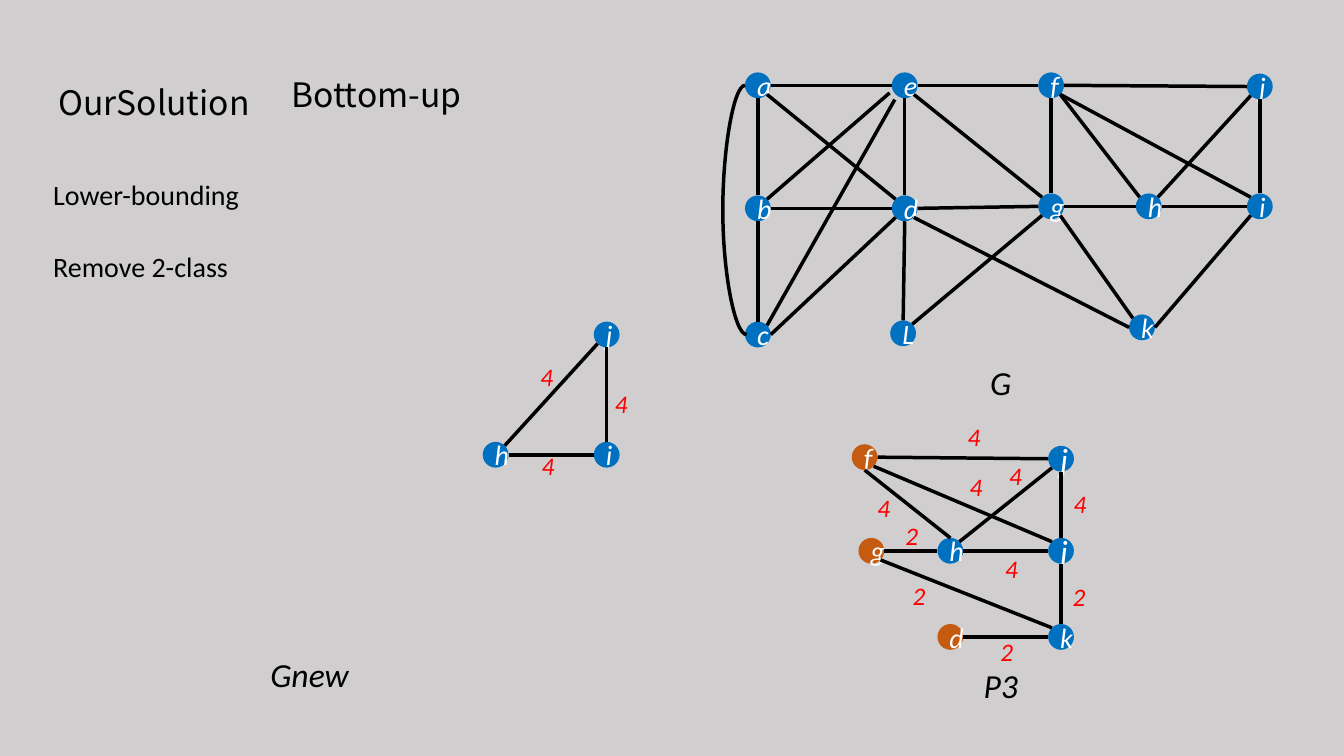
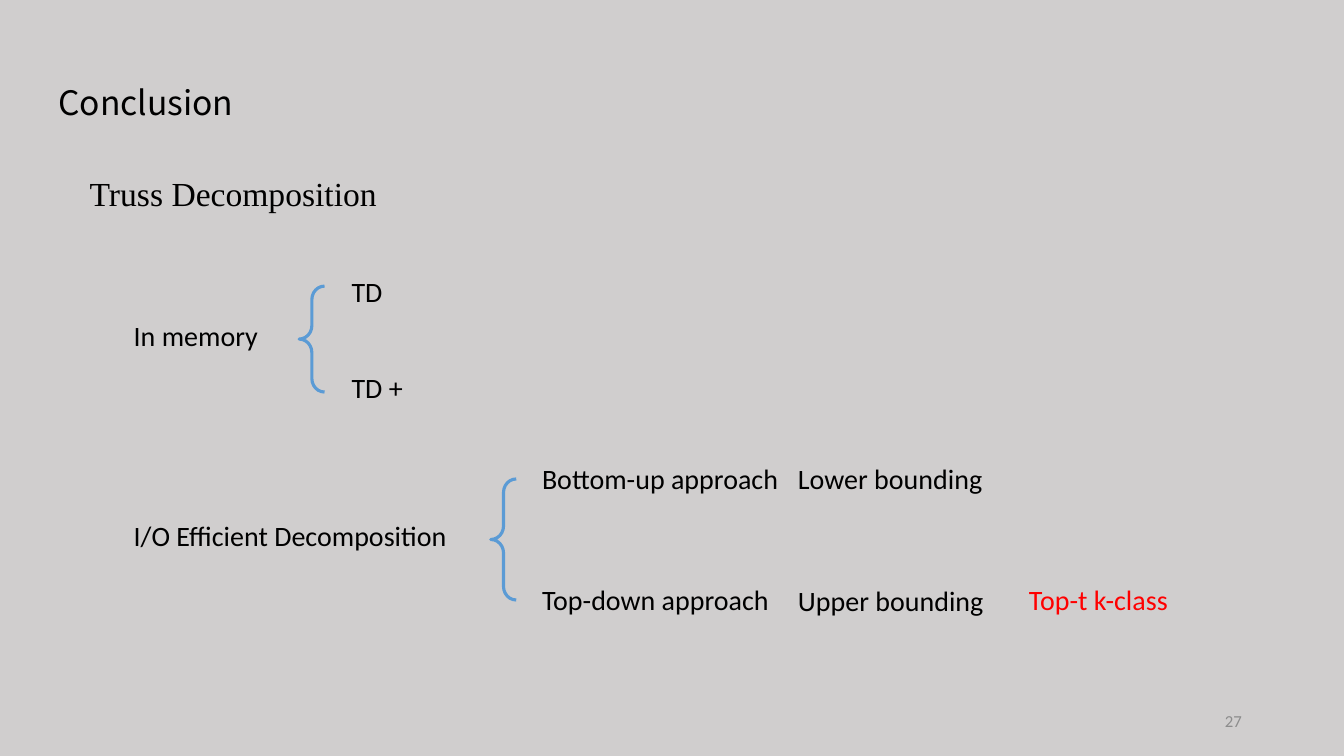
from dataclasses import dataclass
from math import atan2, cos, pi, sin
from typing import NamedTuple, Optional

from lxml.etree import SubElement
from pptx import Presentation
from pptx.dml.color import RGBColor
from pptx.enum.shapes import MSO_CONNECTOR, MSO_SHAPE
from pptx.enum.text import MSO_ANCHOR, MSO_AUTO_SIZE, PP_ALIGN
from pptx.oxml.ns import qn
from pptx.util import Cm, Pt


@dataclass(frozen=True)
class Theme:
    background: str = "D0CECE"
    text: str = "000000"
    accent: str = "FF0000"
    vertex: str = "0070C0"
    boundary_vertex: str = "C55A11"
    vertex_text: str = "FFFFFF"
    brace: str = "5B9BD5"
    page_number: str = "8C8C8C"
    title_font: str = "Noto Sans CJK SC"
    body_font: str = "Calibri"
    heading_font: str = "Times New Roman"
    title_size: int = 24
    body_size: int = 20
    weight_size: int = 18
    page_number_size: int = 12
    edge_width: float = 2.5
    brace_width: float = 2.25


THEME = Theme()
DIAMETER = 0.65
RADIUS = DIAMETER / 2


class Offset(NamedTuple):
    """A point in centimetres from the middle of a vertex."""
    x: float
    y: float


LEFT, RIGHT = Offset(-RADIUS, 0), Offset(RADIUS, 0)
TOP, BOTTOM = Offset(0, -RADIUS), Offset(0, RADIUS)


class Vertex(NamedTuple):
    label: str
    x: float
    y: float
    color: str = THEME.vertex
    size: int = THEME.body_size


class Edge(NamedTuple):
    start: str
    end: str
    start_offset: Optional[Offset] = None
    end_offset: Optional[Offset] = None


class Label(NamedTuple):
    text: str
    left: float
    top: float
    width: float
    height: float = 1.12


class Weight(NamedTuple):
    text: str
    left: float
    top: float


class Brace(NamedTuple):
    left: float
    top: float
    height: float


@dataclass(frozen=True)
class Graph:
    caption: Label
    vertices: list[Vertex]
    edges: list[Edge]
    weights: list[Weight]


def plain_edges(pairs: str) -> list[Edge]:
    return [Edge(*pair) for pair in pairs.split()]


FULL_GRAPH = Graph(
    Label("G", 23.95, 8.99, 2.54, 1.27),
    [
        Vertex("a", 19.1, 2.15), Vertex("b", 19.1, 5.25), Vertex("c", 19.1, 8.43),
        Vertex("d", 22.8, 5.25), Vertex("e", 22.8, 2.15), Vertex("L", 22.76, 8.4),
        Vertex("f", 26.49, 2.15), Vertex("g", 26.49, 5.2), Vertex("j", 31.75, 2.18),
        Vertex("h", 28.95, 5.2), Vertex("i", 31.75, 5.2), Vertex("k", 28.78, 8.25),
    ],
    plain_edges("cb ba ea db de da gd fe ge gf Ld Lg hf hg ih ij jf jh if kg") + [
        Edge("d", "c", end_offset=RIGHT),
        Edge("e", "b", Offset(-0.38, 0.19)),
        Edge("e", "c", Offset(-0.25, 0.36)),
        Edge("k", "d", LEFT),
        Edge("k", "i", RIGHT),
    ],
    [],
)

P3_GRAPH = Graph(
    Label("P3", 23.95, 16.64, 2.54, 1.27),
    [
        Vertex("g", 21.96, 13.88, THEME.boundary_vertex),
        Vertex("j", 26.74, 11.56, size=24),
        Vertex("h", 23.95, 13.88),
        Vertex("i", 26.74, 13.88, size=24),
        Vertex("k", 26.74, 16.05),
        Vertex("d", 23.95, 16.05, THEME.boundary_vertex),
        Vertex("f", 21.79, 11.52, THEME.boundary_vertex),
    ],
    plain_edges("hg ih ij jf jh if kg ki kd") + [Edge("h", "f", TOP, BOTTOM)],
    [
        Weight("4", 26.62, 12.19), Weight("4", 23.95, 10.49),
        Weight("4", 21.67, 12.27), Weight("4", 24, 11.76),
        Weight("4", 24.99, 11.48), Weight("4", 24.89, 13.82),
        Weight("2", 22.38, 12.98), Weight("2", 22.56, 14.5),
        Weight("2", 26.59, 14.53), Weight("2", 24.77, 15.9),
    ],
)

NEW_GRAPH = Graph(
    Label("Gnew", 6.53, 16.36, 2.54, 1.27),
    [Vertex("j", 15.29, 8.43), Vertex("h", 12.49, 11.46), Vertex("i", 15.29, 11.46)],
    plain_edges("ih ij jh"),
    [Weight("4", 15.06, 9.65), Weight("4", 13.18, 8.99), Weight("4", 13.21, 11.23)],
)

STEPS = [
    Label("Lower-bounding", 1.09, 4.34, 5.26),
    Label("Remove 2-class", 1.09, 6.17, 4.95),
]

CONCLUSIONS = [
    Label("In memory", 3.12, 7.9, 3.66),
    Label("TD", 8.61, 6.78, 1.45),
    Label("TD +", 8.61, 9.22, 1.98),
    Label("I/O Efficient Decomposition", 3.12, 12.95, 8.48),
    Label("Bottom-up approach", 13.41, 11.51, 6.68),
    Label("Top-down approach", 13.41, 14.55, 6.43),
    Label("Lower bounding", 19.86, 11.51, 5.18),
    Label("Upper bounding", 19.86, 14.58, 5.23),
]

BRACES = [Brace(7.54, 7.21, 2.67), Brace(12.37, 12.07, 3.05)]


def rgb(color: str) -> RGBColor:
    return RGBColor.from_string(color)


def format_text(shape, text: str, size: int, color: str, font: str = THEME.body_font,
                italic: bool = False, align=PP_ALIGN.LEFT):
    shape.text_frame.text = text
    paragraph = shape.text_frame.paragraphs[0]
    paragraph.alignment = align
    run_font = paragraph.runs[0].font
    run_font.name = font
    run_font.size = Pt(size)
    run_font.italic = italic
    run_font.color.rgb = rgb(color)
    return paragraph


def add_label(slide, label: Label, size: int = THEME.body_size, color: str = THEME.text,
              font: str = THEME.body_font):
    """Add upright text on one line, and return its paragraph."""
    box = slide.shapes.add_textbox(*map(Cm, label[1:]))
    box.text_frame.word_wrap = False
    box.text_frame.auto_size = MSO_AUTO_SIZE.SHAPE_TO_FIT_TEXT
    return format_text(box, label.text, size, color, font)


def add_title(slide, text: str, width: float) -> None:
    title = Label(text, 1.22, 1.42, width, 1.63)
    add_label(slide, title, THEME.title_size, font=THEME.title_font).line_spacing = 1.5


def add_italic_label(slide, label: Label, size: int, color: str) -> None:
    box = slide.shapes.add_textbox(*map(Cm, label[1:]))
    box.text_frame.word_wrap = True
    box.text_frame.auto_size = MSO_AUTO_SIZE.SHAPE_TO_FIT_TEXT
    format_text(box, label.text, size, color, italic=True, align=PP_ALIGN.CENTER)


def add_vertex(slide, vertex: Vertex) -> None:
    circle = slide.shapes.add_shape(
        MSO_SHAPE.OVAL, Cm(vertex.x - RADIUS), Cm(vertex.y - RADIUS),
        Cm(DIAMETER), Cm(DIAMETER))
    circle.shadow.inherit = False
    circle.fill.solid()
    circle.fill.fore_color.rgb = rgb(vertex.color)
    circle.line.fill.background()
    circle.text_frame.vertical_anchor = MSO_ANCHOR.MIDDLE
    format_text(circle, vertex.label, vertex.size, THEME.vertex_text,
                italic=True, align=PP_ALIGN.CENTER)


def add_line(slide, kind, start_x: float, start_y: float, end_x: float, end_y: float):
    connector = slide.shapes.add_connector(
        kind, Cm(start_x), Cm(start_y), Cm(end_x), Cm(end_y))
    connector.line.color.rgb = rgb(THEME.text)
    connector.line.width = Pt(THEME.edge_width)
    SubElement(connector.element.spPr, qn("a:effectLst"))
    return connector


def rim_offset(source: Vertex, target: Vertex) -> Offset:
    """Return the one of eight points on the rim that best faces the target."""
    angle = atan2(target.y - source.y, target.x - source.x)
    angle = round(angle / (pi / 4)) * pi / 4
    return Offset(RADIUS * cos(angle), RADIUS * sin(angle))


def add_edge(slide, start: Vertex, end: Vertex, edge: Edge) -> None:
    begin = edge.start_offset or rim_offset(start, end)
    finish = edge.end_offset or rim_offset(end, start)
    add_line(slide, MSO_CONNECTOR.STRAIGHT, start.x + begin.x, start.y + begin.y,
             end.x + finish.x, end.y + finish.y)


def add_side_arc(slide, upper: Vertex, lower: Vertex) -> None:
    """Join two stacked vertices by a curve that bulges to the left."""
    left = upper.x - RADIUS
    connector = add_line(slide, MSO_CONNECTOR.CURVE, left, upper.y, left + 0.04, lower.y)
    properties = connector.element.spPr
    properties.find(qn("a:xfrm")).set("rot", "10800000")
    geometry = properties.find(qn("a:prstGeom"))
    adjustments = geometry.find(qn("a:avLst"))
    if adjustments is None:
        adjustments = SubElement(geometry, qn("a:avLst"))
    SubElement(adjustments, qn("a:gd"), name="adj1", fmla="val 1500000")


def add_graph(slide, graph: Graph) -> None:
    by_label = {vertex.label: vertex for vertex in graph.vertices}
    for weight in graph.weights:
        add_italic_label(slide, Label(*weight, 1.2, 1.02), THEME.weight_size, THEME.accent)
    for vertex in graph.vertices:
        add_vertex(slide, vertex)
    for edge in graph.edges:
        add_edge(slide, by_label[edge.start], by_label[edge.end], edge)
    add_italic_label(slide, graph.caption, THEME.title_size, THEME.text)


def add_brace(slide, brace: Brace) -> None:
    shape = slide.shapes.add_shape(
        MSO_SHAPE.LEFT_BRACE, Cm(brace.left), Cm(brace.top), Cm(0.64), Cm(brace.height))
    shape.adjustments[0] = 0.53
    shape.shadow.inherit = False
    shape.fill.background()
    shape.line.color.rgb = rgb(THEME.brace)
    shape.line.width = Pt(THEME.brace_width)


def add_page_number(slide, number: str) -> None:
    box = slide.shapes.add_textbox(Cm(23.93), Cm(17.65), Cm(7.62), Cm(1.02))
    box.text_frame.word_wrap = True
    box.text_frame.vertical_anchor = MSO_ANCHOR.MIDDLE
    format_text(box, number, THEME.page_number_size, THEME.page_number, align=PP_ALIGN.RIGHT)


def build_solution(slide) -> None:
    add_title(slide, "OurSolution", 5.46)
    add_label(slide, Label("Bottom-up", 7.09, 1.75, 5, 1.27), THEME.title_size,
              font=THEME.title_font)
    for step in STEPS:
        add_label(slide, step)
    for graph in (FULL_GRAPH, P3_GRAPH, NEW_GRAPH):
        add_graph(slide, graph)
    upper, _, lower = FULL_GRAPH.vertices[:3]
    add_side_arc(slide, upper, lower)


def build_conclusion(slide) -> None:
    add_title(slide, "Conclusion", 5.03)
    add_label(slide, Label("Truss Decomposition", 2.01, 4.22, 8.46, 1.27),
              THEME.title_size, font=THEME.heading_font)
    for conclusion in CONCLUSIONS:
        add_label(slide, conclusion)
    add_label(slide, Label("Top-t k-class", 25.68, 14.55, 4.09), color=THEME.accent)
    for brace in BRACES:
        add_brace(slide, brace)
    add_page_number(slide, "27")


def main() -> None:
    presentation = Presentation()
    presentation.slide_width, presentation.slide_height = Cm(33.87), Cm(19.05)
    background = presentation.slide_master.background.fill
    background.solid()
    background.fore_color.rgb = rgb(THEME.background)
    blank_layout = presentation.slide_layouts[6]
    for build in (build_solution, build_conclusion):
        build(presentation.slides.add_slide(blank_layout))
    presentation.save("out.pptx")


if __name__ == "__main__":
    main()
